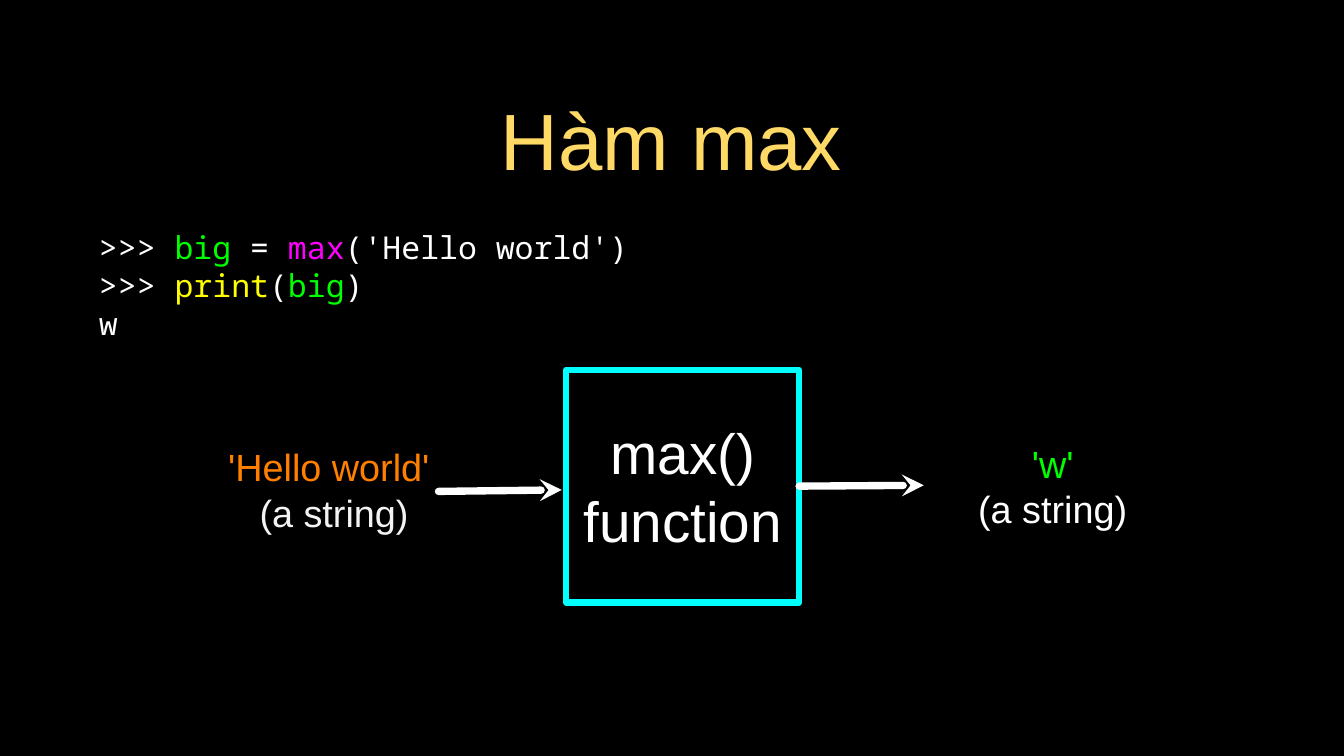
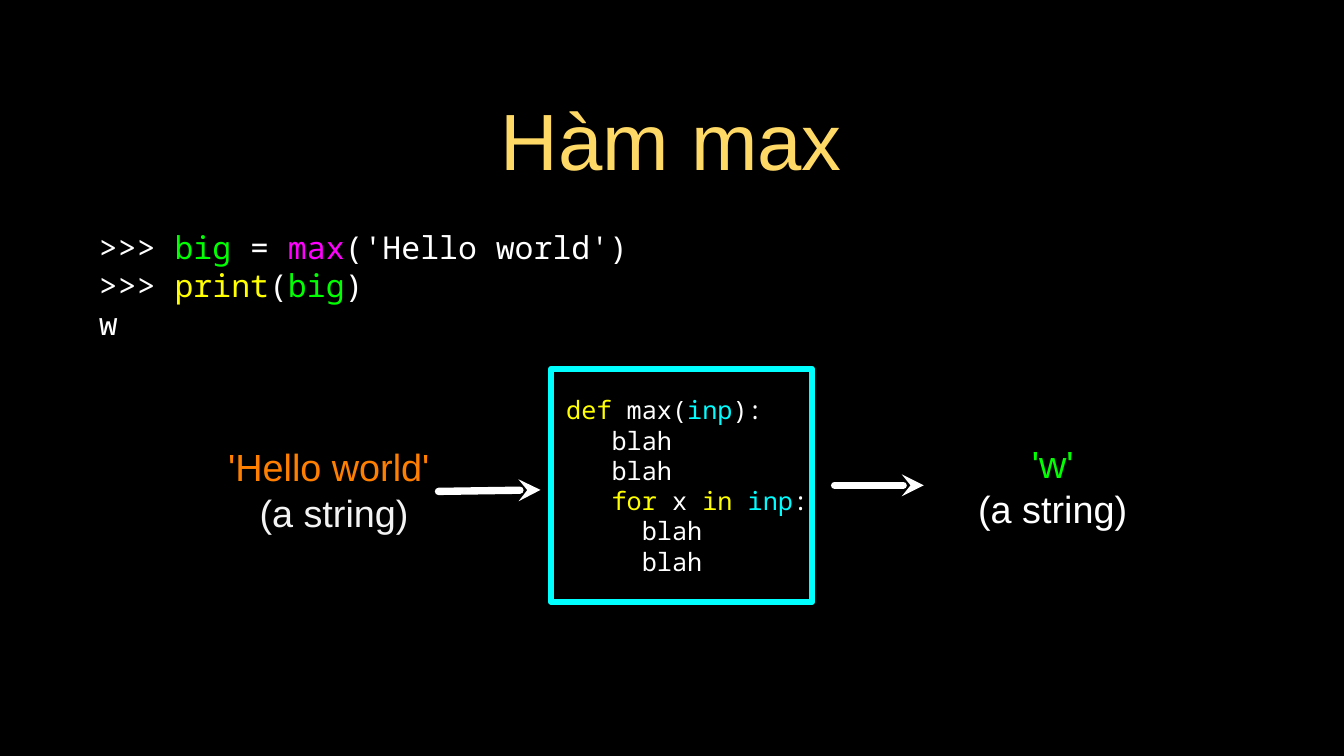
import pptx
import pptx.dml.color
import pptx.enum.shapes
import pptx.enum.text
import pptx.oxml
import pptx.oxml.ns
import pptx.util

Pt = pptx.util.Pt
ALIGN = pptx.enum.text.PP_ALIGN

BLACK, WHITE, PALE = "000000", "FFFFFF", "F3F3F3"
GOLD, YELLOW, GREEN = "FFD966", "FFFF00", "00FF00"
MAGENTA, ORANGE = "FF00FF", "FF7F00"
CYAN, CODE_CYAN = "00FFFF", "00FDFF"
SANS, MONO = "Arial", "Noto Sans Mono"
LINE_HEIGHT = 1.2
MONO_WIDTH = 0.6


def colour(value):
    return pptx.dml.color.RGBColor.from_string(value)


def set_values(target, values):
    for name, value in values.items():
        setattr(target, name, value)


class Deck:
    def __init__(self):
        self.deck = pptx.Presentation()
        set_values(self.deck, {"slide_width": Pt(1280),
                               "slide_height": Pt(720)})
        fill = self.deck.slide_master.background.fill
        fill.solid()
        fill.fore_color.rgb = colour(BLACK)
        self.layout = self.deck.slide_layouts[5]
        self.place(self.layout.placeholders[0], 90.7, 63.4, 1097.3, 136.8)
        self.page = None

    def place(self, item, left, top, width, height):
        set_values(item, {"left": Pt(left), "top": Pt(top),
                          "width": Pt(width), "height": Pt(height)})

    def frame(self, item, margin=0):
        """Set margins, wrapping and middle anchoring; return the text frame."""
        frame = item.text_frame
        sides = ("left", "top", "right", "bottom")
        set_values(frame, {f"margin_{side}": Pt(margin) for side in sides})
        set_values(frame, {
            "word_wrap": True,
            "auto_size": pptx.enum.text.MSO_AUTO_SIZE.NONE,
            "vertical_anchor": pptx.enum.text.MSO_ANCHOR.MIDDLE})
        return frame

    def add_spans(self, para, spans, font, size):
        for text, hue in spans:
            span = para.add_run()
            span.text = text
            set_values(span.font,
                       {"name": font, "size": Pt(size), "bold": False})
            span.font.color.rgb = colour(hue)

    def lines(self, item, rows, font, size, align=ALIGN.CENTER, indents=None):
        """Fill item with one paragraph per row; indents count characters."""
        frame = self.frame(item)
        for index, spans in enumerate(rows):
            para = frame.add_paragraph() if index else frame.paragraphs[0]
            set_values(para, {"alignment": align,
                              "line_spacing": Pt(size * LINE_HEIGHT)})
            if indents:
                margin = Pt(indents[index] * size * MONO_WIDTH)
                para._p.get_or_add_pPr().set("marL", str(margin))
            self.add_spans(para, spans, font, size)

    def new_page(self, title):
        self.page = self.deck.slides.add_slide(self.layout)
        para = self.frame(self.page.shapes.title, 2.9).paragraphs[0]
        para.alignment = ALIGN.CENTER
        self.add_spans(para, [(title, GOLD)], SANS, 76)

    def text(self, place, rows, font, size, align=ALIGN.CENTER):
        box = self.page.shapes.add_textbox(*map(Pt, place))
        self.lines(box, rows, font, size, align)

    def function_box(self, place, rows, font, size, **layout):
        box = self.page.shapes.add_shape(
            pptx.enum.shapes.MSO_SHAPE.RECTANGLE, *map(Pt, place))
        box.shadow.inherit = False
        box.fill.background()
        box.line.color.rgb = colour(CYAN)
        box.line.width = Pt(6)
        self.lines(box, rows, font, size, **layout)
        return box

    def arrow(self, start, tip):
        line = self.page.shapes.add_connector(
            pptx.enum.shapes.MSO_CONNECTOR.STRAIGHT, *map(Pt, start + tip))
        line.line.color.rgb = colour(WHITE)
        line.line.width = Pt(7)
        stroke = line.line._get_or_add_ln()
        stroke.set("cap", "rnd")
        namespace = pptx.oxml.ns.nsdecls("a")
        stroke.append(pptx.oxml.parse_xml(
            f'<a:tailEnd {namespace} type="stealth"/>'))
        line._element.spPr.append(pptx.oxml.parse_xml(
            f"<a:effectLst {namespace}/>"))
        return line


def max_page(deck, box_spec, input_tip, output_start):
    """Add a page with the shared code and the input, function and output."""
    deck.new_page("Hàm max")
    deck.text((94.3, 205.9, 561.6, 131), [
        [(">>> ", WHITE), ("big", GREEN), (" = ", WHITE), ("max", MAGENTA),
         ("('Hello world')", WHITE)],
        [(">>> ", WHITE), ("print", YELLOW), ("(", WHITE), ("big", GREEN),
         (")", WHITE)],
        [("w", WHITE)],
    ], MONO, 30, ALIGN.LEFT)
    box = deck.function_box(**box_spec)
    deck.arrow((417.6, 468), (input_tip, 466.6))
    deck.text((205.9, 421.2, 224.6, 90),
              [[("'Hello world' ", ORANGE)], [("(a string)", PALE)]], SANS, 36)
    deck.text((916.6, 417.6, 172, 90),
              [[("'w'", GREEN)], [("(a string)", WHITE)]], SANS, 36)
    output = deck.arrow((output_start, 462.2), (879.8, 462.2))
    return box, output


def main():
    deck = Deck()
    box, output = max_page(deck, {
        "place": (539.3, 352.1, 221.8, 221.8),
        "rows": [[("max()", WHITE)], [("function", WHITE)]],
        "font": SANS, "size": 54,
    }, 535, 761.1)
    output.begin_connect(box, 3)

    blah = [("blah", WHITE)]
    max_page(deck, {
        "place": (524.9, 351.4, 248.4, 221.8),
        "rows": [
            [("def", YELLOW), (" max(", WHITE), ("inp", CODE_CYAN),
             ("):", WHITE)],
            blah, blah,
            [("for", YELLOW), (" x ", WHITE), ("in ", YELLOW),
             ("inp", CODE_CYAN), (":", WHITE)],
            blah, blah,
        ],
        "font": MONO, "size": 24, "align": ALIGN.LEFT,
        "indents": (1, 4, 4, 4, 6, 6),
    }, 514.8, 794.9)
    deck.deck.save("out.pptx")


if __name__ == "__main__":
    main()
